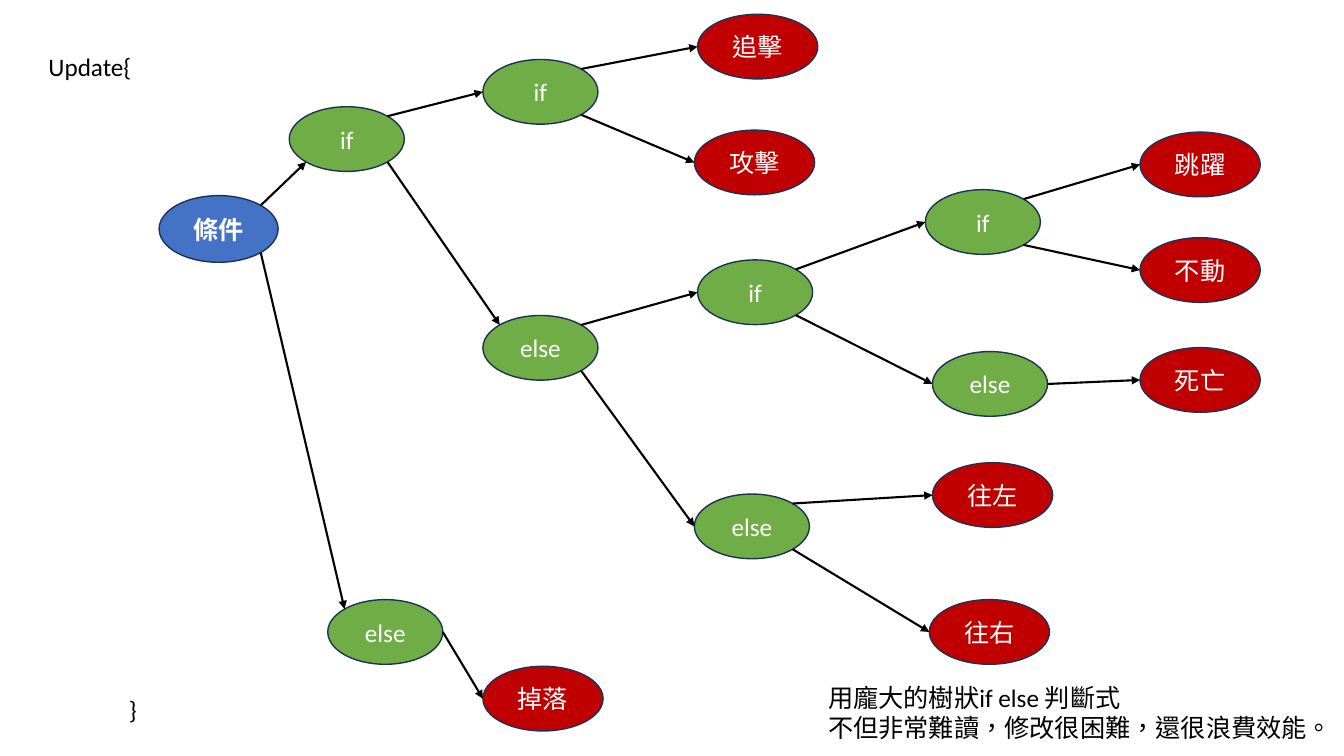
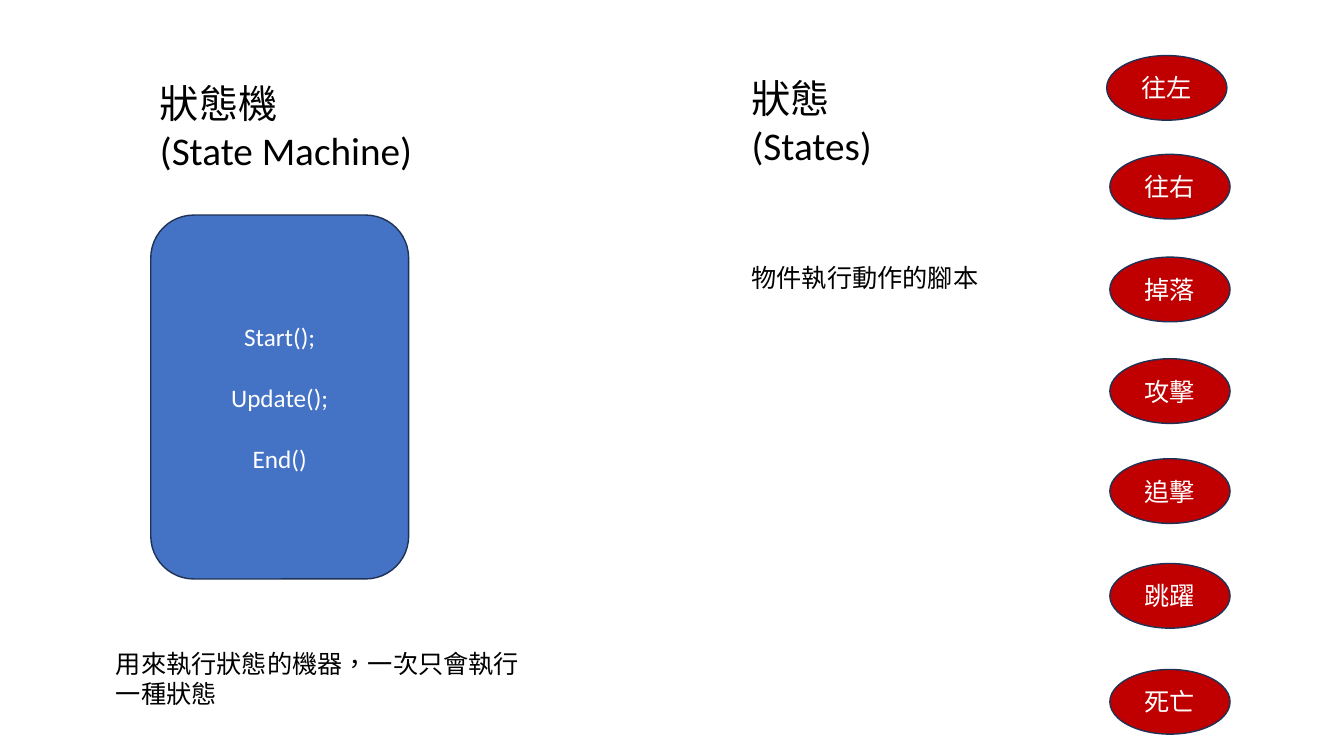
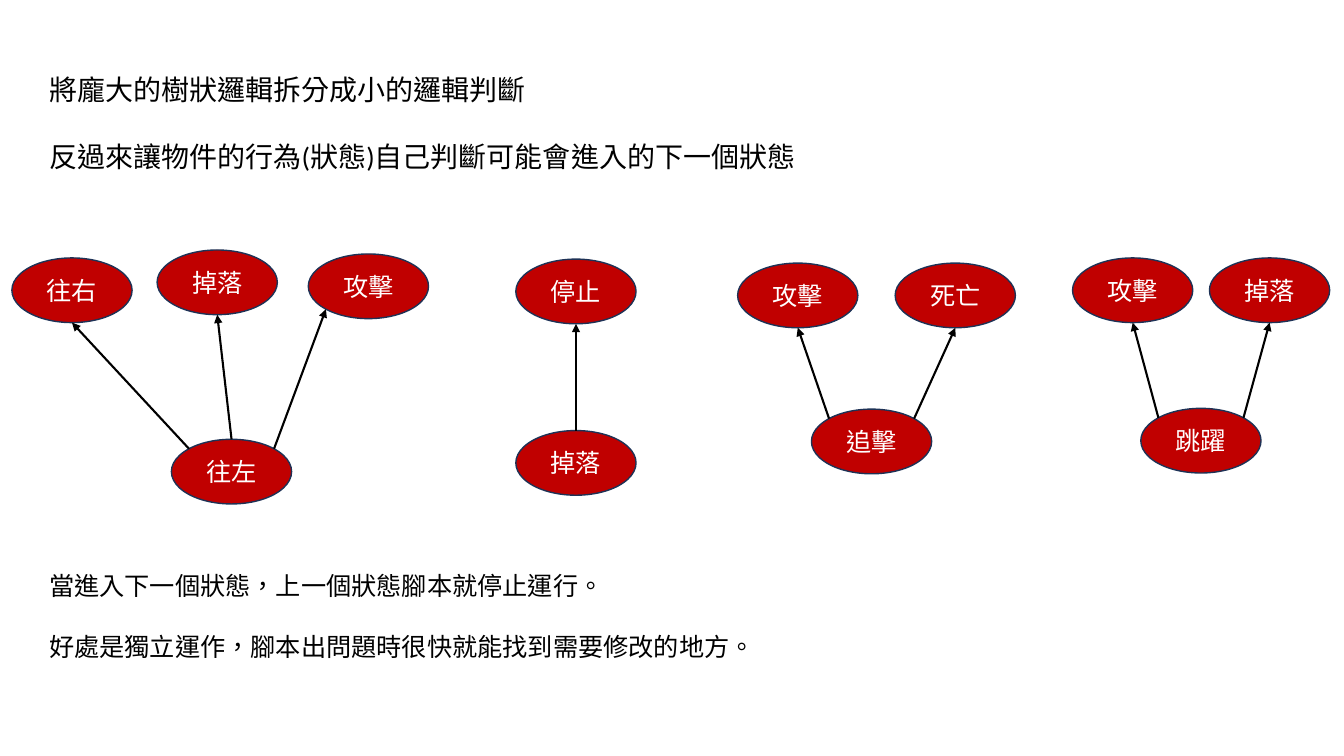
from math import sqrt

from lxml.etree import SubElement
from pptx import Presentation
from pptx.dml.color import RGBColor
from pptx.enum.lang import MSO_LANGUAGE_ID
from pptx.enum.shapes import MSO_CONNECTOR, MSO_SHAPE
from pptx.enum.text import MSO_ANCHOR, MSO_AUTO_SIZE, PP_ALIGN
from pptx.oxml.ns import qn
from pptx.util import Cm, Pt

BLUE = RGBColor(0x44, 0x72, 0xC4)
GREEN = RGBColor(0x70, 0xAD, 0x47)
RED = RGBColor(0xC0, 0x00, 0x00)
OUTLINE = RGBColor(0x1E, 0x32, 0x56)
WHITE = RGBColor(0xFF, 0xFF, 0xFF)
BLACK = RGBColor(0x00, 0x00, 0x00)

FONT = "Calibri"
CJK_FONT = "Noto Sans CJK SC"

TOP, TOP_LEFT, LEFT, BOTTOM_LEFT, BOTTOM, BOTTOM_RIGHT, RIGHT, TOP_RIGHT = range(8)
D = sqrt(0.5)
DIRECTIONS = [(0, -1), (-D, -D), (-1, 0), (-D, D), (0, 1), (D, D), (1, 0), (D, -D)]


class Deck:
    def __init__(self):
        self.prs = Presentation()
        self.prs.slide_width = Cm(33.87)
        self.prs.slide_height = Cm(19.05)

    def new_slide(self):
        self.s = self.prs.slides.add_slide(self.prs.slide_layouts[6])

    def set_lines(self, tf, lines, color, size=18, gap=0, align=None, font=FONT, bold=None):
        tf.word_wrap = True
        for i, line in enumerate(lines):
            p = tf.add_paragraph() if i else tf.paragraphs[0]
            p.text = line
            p.alignment = align
            p.space_before = Pt(gap if i else 0)
            f = p.font
            f.name, f.size, f.bold = font, Pt(size), bold
            f.color.rgb = color
            f.language_id = MSO_LANGUAGE_ID.TRADITIONAL_CHINESE

    def text(self, x, y, w, h, *lines, **style):
        tf = self.s.shapes.add_textbox(Cm(x), Cm(y), Cm(w), Cm(h)).text_frame
        self.set_lines(tf, lines, BLACK, **style)
        tf.auto_size = MSO_AUTO_SIZE.SHAPE_TO_FIT_TEXT

    def shape(self, kind, x, y, w, h, fill, *lines, **style):
        sp = self.s.shapes.add_shape(kind, Cm(x), Cm(y), Cm(w), Cm(h))
        sp.shadow.inherit = False
        sp.fill.solid()
        sp.fill.fore_color.rgb = fill
        sp.line.color.rgb = OUTLINE
        sp.line.width = Pt(1)
        sp.text_frame.vertical_anchor = MSO_ANCHOR.MIDDLE
        self.set_lines(sp.text_frame, lines, WHITE, align=PP_ALIGN.CENTER, **style)
        return sp

    def root(self, x, y, label):
        return self.shape(MSO_SHAPE.OVAL, x, y, 3, 1.68, BLUE, label, font=CJK_FONT, bold=True)

    def branch(self, x, y, label):
        return self.shape(MSO_SHAPE.OVAL, x, y, 2.9, 1.63, GREEN, label)

    def state(self, x, y, label):
        return self.shape(MSO_SHAPE.OVAL, x, y, 3.03, 1.63, RED, label)

    def site(self, sp, idx):
        dx, dy = DIRECTIONS[idx]
        return (round(sp.left + sp.width * (1 + dx) / 2),
                round(sp.top + sp.height * (1 + dy) / 2))

    def arrow(self, start, start_site, end, end_site):
        c = self.s.shapes.add_connector(MSO_CONNECTOR.STRAIGHT, 0, 0, 0, 0)
        c.begin_connect(start, 0)
        c.end_connect(end, 0)
        c.begin_x, c.begin_y = self.site(start, start_site)
        c.end_x, c.end_y = self.site(end, end_site)
        joins = c.element.nvCxnSpPr.cNvCxnSpPr
        joins.find(qn("a:stCxn")).set("idx", str(start_site))
        joins.find(qn("a:endCxn")).set("idx", str(end_site))
        c.line.color.rgb = BLACK
        c.line.width = Pt(1.5)
        SubElement(c.element.spPr.find(qn("a:ln")), qn("a:tailEnd"), type="triangle")
        SubElement(c.element.spPr, qn("a:effectLst"))


def decision_tree(deck):
    deck.new_slide()
    deck.text(0.97, 1.17, 3.15, 1.02, "Update{")
    deck.text(3, 17.37, 3.73, 1.02, "}")
    deck.text(20.62, 17.07, 16.94, 1.8, "用龐大的樹狀if else 判斷式",
              "不但非常難讀，修改很困難，還很浪費效能。")

    condition = deck.root(4.01, 4.93, "條件")
    alive = deck.branch(7.29, 2.69, "if")
    falling = deck.branch(8.26, 15.11, "else")
    enemy = deck.branch(12.17, 1.5, "if")
    no_enemy = deck.branch(12.17, 7.95, "else")
    special = deck.branch(17.58, 6.55, "if")
    walking = deck.branch(17.5, 12.45, "else")
    jumping = deck.branch(23.32, 4.78, "if")
    dying = deck.branch(23.5, 8.86, "else")
    chase = deck.state(17.58, 0.36, "追擊")
    attack = deck.state(17.5, 3.28, "攻擊")
    jump = deck.state(28.73, 3.33, "跳躍")
    still = deck.state(28.73, 5.99, "不動")
    dead = deck.state(28.73, 8.76, "死亡")
    go_left = deck.state(23.5, 11.66, "往左")
    go_right = deck.state(23.42, 15.11, "往右")
    fall = deck.state(12.17, 16.79, "掉落")

    for start, start_site, end, end_site in [
        (condition, TOP_RIGHT, alive, BOTTOM_LEFT),
        (condition, BOTTOM_RIGHT, falling, TOP_LEFT),
        (alive, TOP_RIGHT, enemy, LEFT),
        (alive, BOTTOM_RIGHT, no_enemy, TOP_LEFT),
        (enemy, TOP_RIGHT, chase, LEFT),
        (enemy, BOTTOM_RIGHT, attack, LEFT),
        (no_enemy, TOP_RIGHT, special, LEFT),
        (no_enemy, BOTTOM_RIGHT, walking, LEFT),
        (special, TOP_RIGHT, jumping, LEFT),
        (special, BOTTOM_RIGHT, dying, LEFT),
        (jumping, TOP_RIGHT, jump, LEFT),
        (jumping, BOTTOM_RIGHT, still, LEFT),
        (dying, RIGHT, dead, LEFT),
        (walking, TOP_RIGHT, go_left, LEFT),
        (walking, BOTTOM_RIGHT, go_right, LEFT),
        (falling, RIGHT, fall, LEFT),
    ]:
        deck.arrow(start, start_site, end, end_site)


def machine_and_states(deck):
    deck.new_slide()
    deck.text(3.78, 1.88, 8.43, 2.64, "狀態機", "(State Machine)", size=28)
    deck.shape(MSO_SHAPE.ROUNDED_RECTANGLE, 3.8, 5.42, 6.5, 9.17, BLUE,
               "Start();", "Update();", "End()", gap=22)
    deck.text(2.67, 16.2, 11.1, 1.8, "用來執行狀態的機器，一次只會執行一種狀態")
    deck.text(18.69, 1.75, 4.14, 2.64, "狀態", "(States)", size=28)
    deck.text(18.69, 6.48, 7.14, 1.02, "物件執行動作的腳本")
    for x, y, label in [
        (27.89, 1.4, "往左"), (27.97, 3.89, "往右"), (27.97, 6.48, "掉落"),
        (27.97, 9.04, "攻擊"), (27.97, 11.56, "追擊"), (27.97, 14.2, "跳躍"),
        (27.97, 16.87, "死亡"),
    ]:
        deck.state(x, y, label)


def transitions(deck):
    deck.new_slide()
    deck.text(0.99, 1.7, 25.86, 2.82, "將龐大的樹狀邏輯拆分成小的邏輯判斷",
              "反過來讓物件的行為(狀態)自己判斷可能會進入的下一個狀態", size=20, gap=24)
    deck.text(0.99, 14.25, 25.04, 2.57, "當進入下一個狀態，上一個狀態腳本就停止運行。",
              "好處是獨立運作，腳本出問題時很快就能找到需要修改的地方。", gap=22)
    for current, followers in [
        ((4.32, 11.07, "往左"), [((0.3, 6.5, "往右"), TOP_LEFT, BOTTOM),
                               ((3.96, 6.3, "掉落"), TOP, BOTTOM),
                               ((7.77, 6.4, "攻擊"), TOP_RIGHT, BOTTOM_LEFT)]),
        ((13, 10.85, "掉落"), [((13, 6.53, "停止"), TOP, BOTTOM)]),
        ((20.45, 10.31, "追擊"), [((18.59, 6.63, "攻擊"), TOP_LEFT, BOTTOM),
                                ((22.56, 6.63, "死亡"), TOP_RIGHT, BOTTOM)]),
        ((28.75, 10.29, "跳躍"), [((27.03, 6.5, "攻擊"), TOP_LEFT, BOTTOM),
                                ((30.48, 6.5, "掉落"), TOP_RIGHT, BOTTOM)]),
    ]:
        start = deck.state(*current)
        for follower, start_site, end_site in followers:
            deck.arrow(start, start_site, deck.state(*follower), end_site)


def main():
    deck = Deck()
    decision_tree(deck)
    machine_and_states(deck)
    transitions(deck)
    deck.prs.save("out.pptx")


if __name__ == "__main__":
    main()
